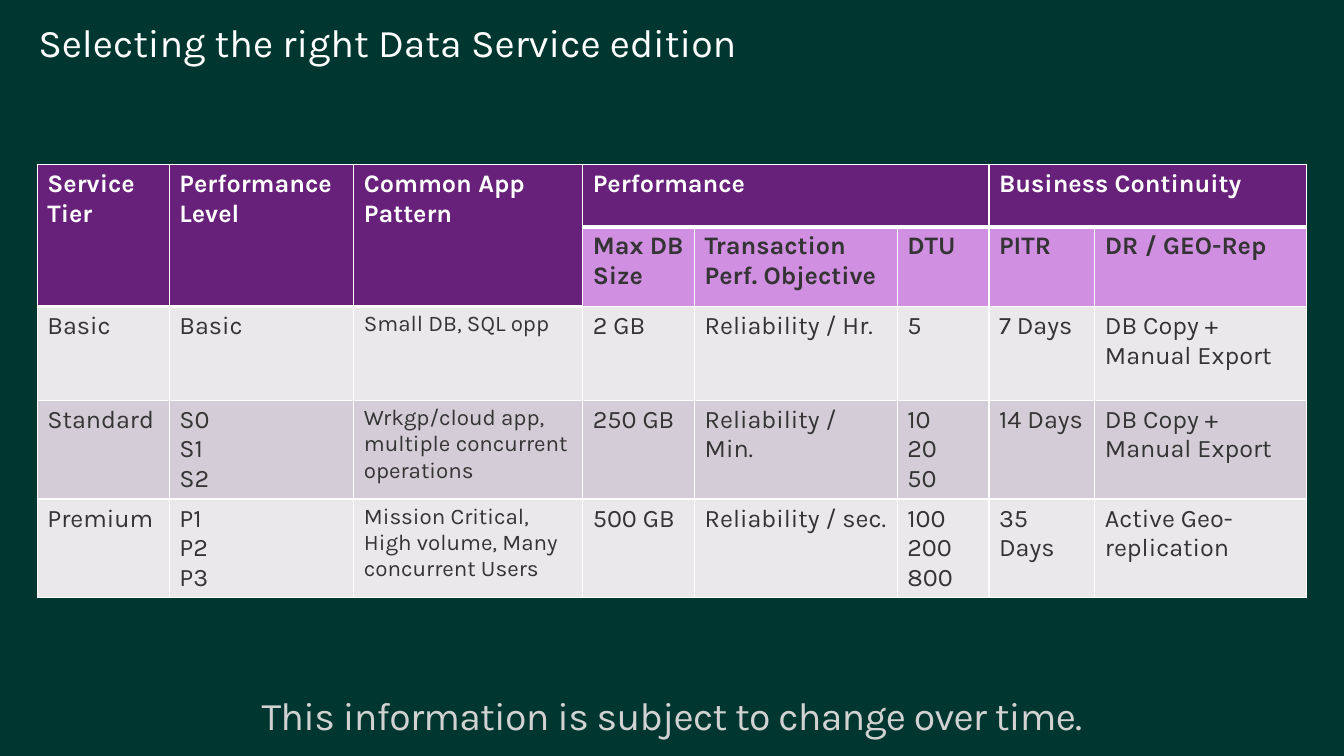
from dataclasses import dataclass

from lxml.etree import SubElement
from pptx import Presentation
from pptx.dml.color import RGBColor as RGB
from pptx.enum.text import MSO_ANCHOR as Anchor, PP_ALIGN as Align
from pptx.oxml.ns import qn
from pptx.util import Inches, Pt


@dataclass(frozen=True)
class Theme:
    font: str = "Karla"
    background: str = "003630"
    white: str = "FFFFFF"
    ink: str = "343434"
    muted: str = "D2D2D2"
    header: str = "68217A"
    subheader: str = "D08FE1"
    bands: tuple = ("EBE8EC", "D4CDD7")
    heading_size: int = 28
    cell_size: int = 18
    pattern_size: int = 16
    rule: int = 1
    header_rule: int = 3


THEME = Theme()
PATTERN_COLUMN = 2
COLUMN_WIDTHS = (1.31, 1.83, 2.27, 1.11, 2.01, 0.91, 1.05, 2.1)
ROW_HEIGHTS = (0.62, 0.79, 0.93, 0.98, 0.98)
GROUPS = ("Service Tier", "Performance Level", "Common App Pattern",
          "Performance", "", "", "Business Continuity", "")
MEASURES = ("", "", "", "Max DB Size", "Transaction Perf. Objective", "DTU",
            "PITR", "DR / GEO-Rep")
# \v breaks a line, \n starts a paragraph
TIERS = (
    ("Basic", "Basic", "Small DB, SQL opp", "2 GB", "Reliability / Hr.", "5",
     "7 Days", "DB Copy + Manual Export"),
    ("Standard", "S0\vS1\vS2",
     "Wrkgp/cloud app, multiple concurrent operations", "250 GB",
     "Reliability / Min.", "10\v20\v50", "14 Days", "DB Copy + Manual Export"),
    ("Premium", "P1\vP2\vP3",
     "Mission Critical, High volume, Many concurrent Users", "500 GB",
     "Reliability / sec.", "100\n200\n800", "35 Days",
     "Active Geo-replication"),
)
# first row, first column, last row, last column
MERGES = ((0, 0, 1, 0), (0, 1, 1, 1), (0, 2, 1, 2), (0, 3, 0, 5), (0, 6, 0, 7))


def write(frame, text, size, color, bold=False, align=Align.LEFT,
          line_spacing=None, tracking=None):
    frame.text = text
    frame.word_wrap = True
    for paragraph in frame.paragraphs:
        paragraph.alignment = align
        if line_spacing:
            paragraph.line_spacing = line_spacing
        for run in paragraph.runs:
            font = run.font
            font.name, font.size, font.bold = THEME.font, Pt(size), bold
            font.color.rgb = RGB.from_string(color)
            if tracking:
                run._r.get_or_add_rPr().set("spc", str(int(tracking * 100)))


def rule_cell(cell, bottom):
    """Draw white borders; bottom is the width of the lower one in points."""
    properties = cell._tc.get_or_add_tcPr()
    widths = {"lnL": THEME.rule, "lnR": THEME.rule, "lnT": THEME.rule,
              "lnB": bottom}
    for side, width in widths.items():
        line = SubElement(properties, qn(f"a:{side}"), w=str(Pt(width)))
        fill = SubElement(line, qn("a:solidFill"))
        SubElement(fill, qn("a:srgbClr"), val=THEME.white)


def add_heading(slide, left, top, width, height):
    frame = slide.shapes.add_textbox(
        Inches(left), Inches(top), Inches(width), Inches(height)).text_frame
    frame.vertical_anchor = Anchor.MIDDLE
    frame.margin_left = Inches(0.38)
    write(frame, "Selecting the right Data Service edition",
          THEME.heading_size, THEME.white, line_spacing=0.9)


def cell_look(row, column):
    """Return the fill, text colour, size and boldness of a cell."""
    if row == 0 or (row == 1 and not MEASURES[column]):
        return THEME.header, THEME.white, THEME.cell_size, True
    if row == 1:
        return THEME.subheader, THEME.ink, THEME.cell_size, True
    size = THEME.pattern_size if column == PATTERN_COLUMN else THEME.cell_size
    return THEME.bands[row % 2], THEME.ink, size, False


def add_editions(slide, left, top):
    rows = (GROUPS, MEASURES, *TIERS)
    table = slide.shapes.add_table(
        len(rows), len(COLUMN_WIDTHS), Inches(left), Inches(top),
        Inches(sum(COLUMN_WIDTHS)), Inches(sum(ROW_HEIGHTS))).table
    table.first_row = table.horz_banding = False
    for column, width in zip(table.columns, COLUMN_WIDTHS):
        column.width = Inches(width)
    for row, height in zip(table.rows, ROW_HEIGHTS):
        row.height = Inches(height)
    for r, texts in enumerate(rows):
        for c, text in enumerate(texts):
            cell = table.cell(r, c)
            fill, color, size, bold = cell_look(r, c)
            rule_cell(cell, THEME.header_rule if fill == THEME.header
                      else THEME.rule)
            cell.fill.solid()
            cell.fill.fore_color.rgb = RGB.from_string(fill)
            write(cell.text_frame, text, size, color, bold=bold)
    for top_row, first, bottom_row, last in MERGES:
        table.cell(top_row, first).merge(table.cell(bottom_row, last))


def add_disclaimer(slide, left, top, width, height):
    frame = slide.shapes.add_textbox(
        Inches(left), Inches(top), Inches(width), Inches(height)).text_frame
    frame.vertical_anchor = Anchor.BOTTOM
    frame.margin_left = frame.margin_right = 0
    frame.margin_top = frame.margin_bottom = 0
    write(frame, "This information is subject to change over time.",
          THEME.heading_size, THEME.muted, align=Align.CENTER,
          line_spacing=0.9, tracking=-0.5)


def main():
    width, height = 13.33, 7.5
    deck = Presentation()
    deck.slide_width, deck.slide_height = Inches(width), Inches(height)
    slide = deck.slides.add_slide(deck.slide_layouts[6])
    slide.background.fill.solid()
    slide.background.fill.fore_color.rgb = RGB.from_string(THEME.background)
    add_editions(slide, 0.37, 1.63)
    add_heading(slide, 0, 0, width, 0.89)
    add_disclaimer(slide, 0, 6.75, width, 0.58)
    deck.save("out.pptx")


if __name__ == "__main__":
    main()
